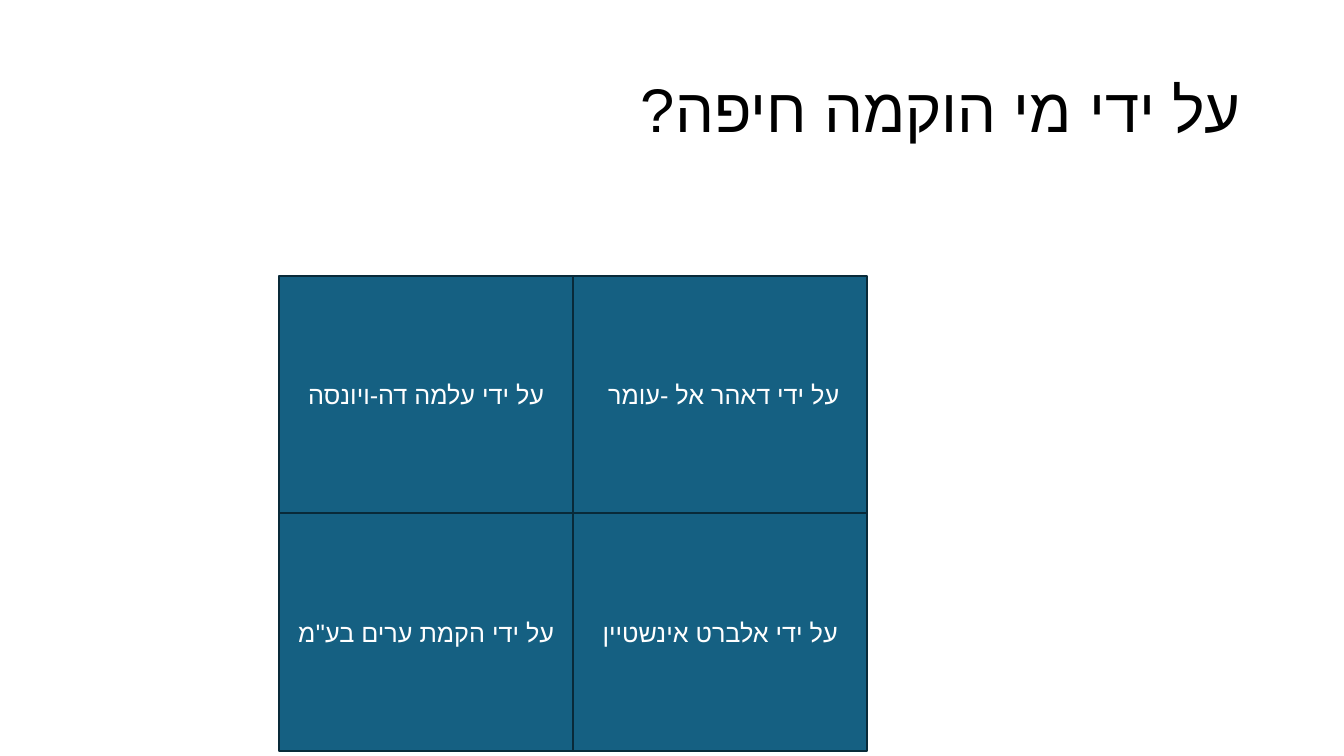
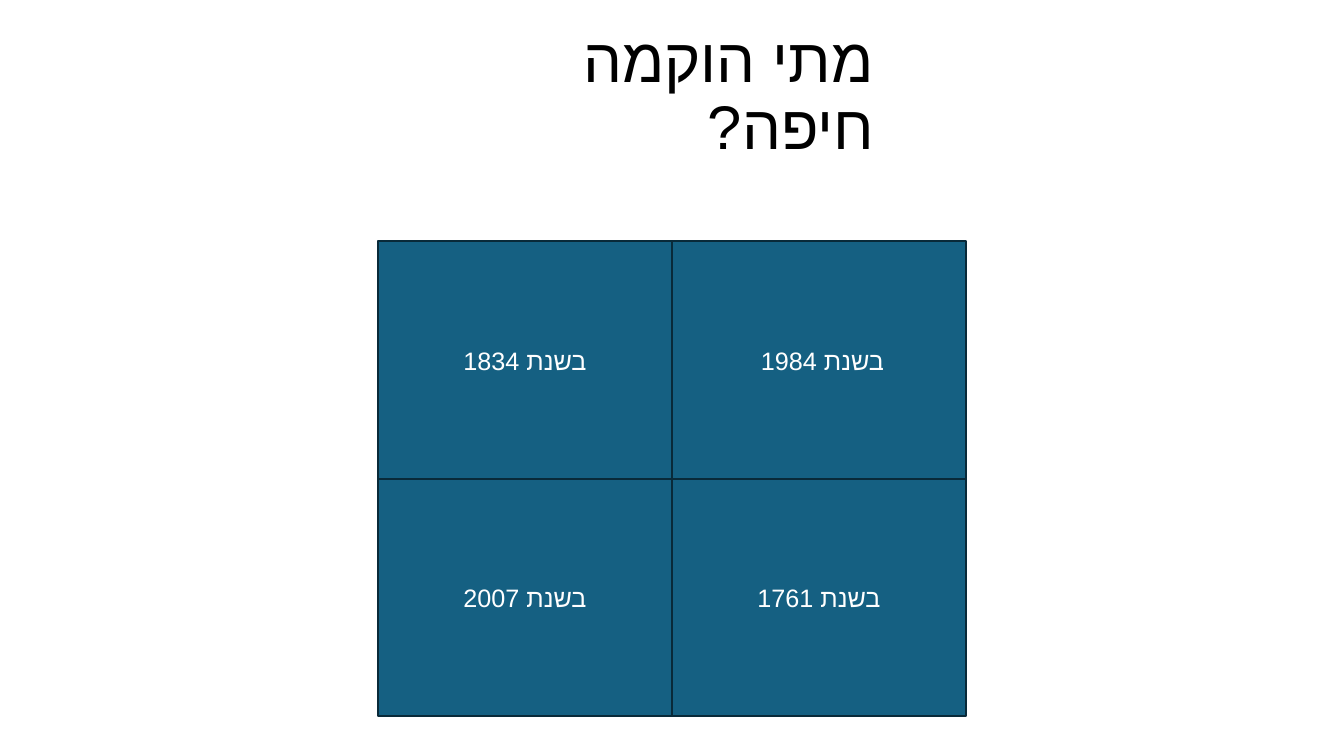
from lxml import etree
from pptx import Presentation
from pptx import util as u
from pptx.dml.color import RGBColor
from pptx.enum import shapes, text
from pptx.oxml.ns import qn

PX = 9525
SLIDE_SIZE = (1280, 720)
TILE_WIDTH, TILE_HEIGHT = 280, 226
COLUMNS = 2
FONT = "Lato"
HEBREW_FONT = "Arial"
BLACK = RGBColor(0x00, 0x00, 0x00)
WHITE = RGBColor(0xFF, 0xFF, 0xFF)
TEAL = RGBColor(0x15, 0x60, 0x82)
NAVY = RGBColor(0x09, 0x2A, 0x39)

QUESTIONS = [
    {
        "title": "על ידי מי הוקמה חיפה?",
        "title_box": (88, 38, 1104, 139),
        "grid_origin": (266, 263),
        "answers": [
            "על ידי עלמה דה-ויונסה",
            "על ידי דאהר אל -עומר ",
            "על ידי הקמת ערים בע''מ",
            "על ידי אלברט אינשטיין",
        ],
    },
    {
        "title": "מתי הוקמה חיפה?",
        "title_box": (437, 22, 405, 139),
        "grid_origin": (360, 230),
        "answers": ["בשנת 1834", "בשנת 1984 ", "בשנת 2007", "בשנת 1761"],
    },
]


def px(*lengths):
    return [u.Emu(length * PX) for length in lengths]


def write_hebrew(shape, words, size, color, alignment, spacing=1.0):
    frame = shape.text_frame
    frame.word_wrap = True
    frame.vertical_anchor = text.MSO_ANCHOR.MIDDLE
    paragraph = frame.paragraphs[0]
    paragraph.alignment = alignment
    paragraph.line_spacing = spacing
    paragraph._p.get_or_add_pPr().set("rtl", "1")
    run = paragraph.add_run()
    run.text = words
    run.font.size = u.Pt(size)
    run.font.name = FONT
    run.font.color.rgb = color
    properties = run._r.get_or_add_rPr()
    properties.set("lang", "he-IL")
    etree.SubElement(properties, qn("a:cs")).set("typeface", HEBREW_FONT)


def add_title(slide, words, box):
    title = slide.shapes.add_textbox(*px(*box))
    write_hebrew(title, words, 44, BLACK, text.PP_ALIGN.RIGHT, 0.9)


def add_answer(slide, words, left, top):
    button = slide.shapes.add_shape(
        shapes.MSO_SHAPE.ACTION_BUTTON_CUSTOM, *px(left, top, TILE_WIDTH, TILE_HEIGHT)
    )
    button.shadow.inherit = False
    button.fill.solid()
    button.fill.fore_color.rgb = TEAL
    button.line.color.rgb = NAVY
    button.line.width = u.Pt(1.5)
    write_hebrew(button, words, 18, WHITE, text.PP_ALIGN.CENTER)


def add_question(presentation, question):
    slide = presentation.slides.add_slide(presentation.slide_layouts[6])
    add_title(slide, question["title"], question["title_box"])
    left, top = question["grid_origin"]
    for index, answer in enumerate(question["answers"]):
        row, column = divmod(index, COLUMNS)
        add_answer(slide, answer, left + column * TILE_WIDTH, top + row * TILE_HEIGHT)


def main():
    presentation = Presentation()
    presentation.slide_width, presentation.slide_height = px(*SLIDE_SIZE)
    for question in QUESTIONS:
        add_question(presentation, question)
    presentation.save("out.pptx")


if __name__ == "__main__":
    main()
